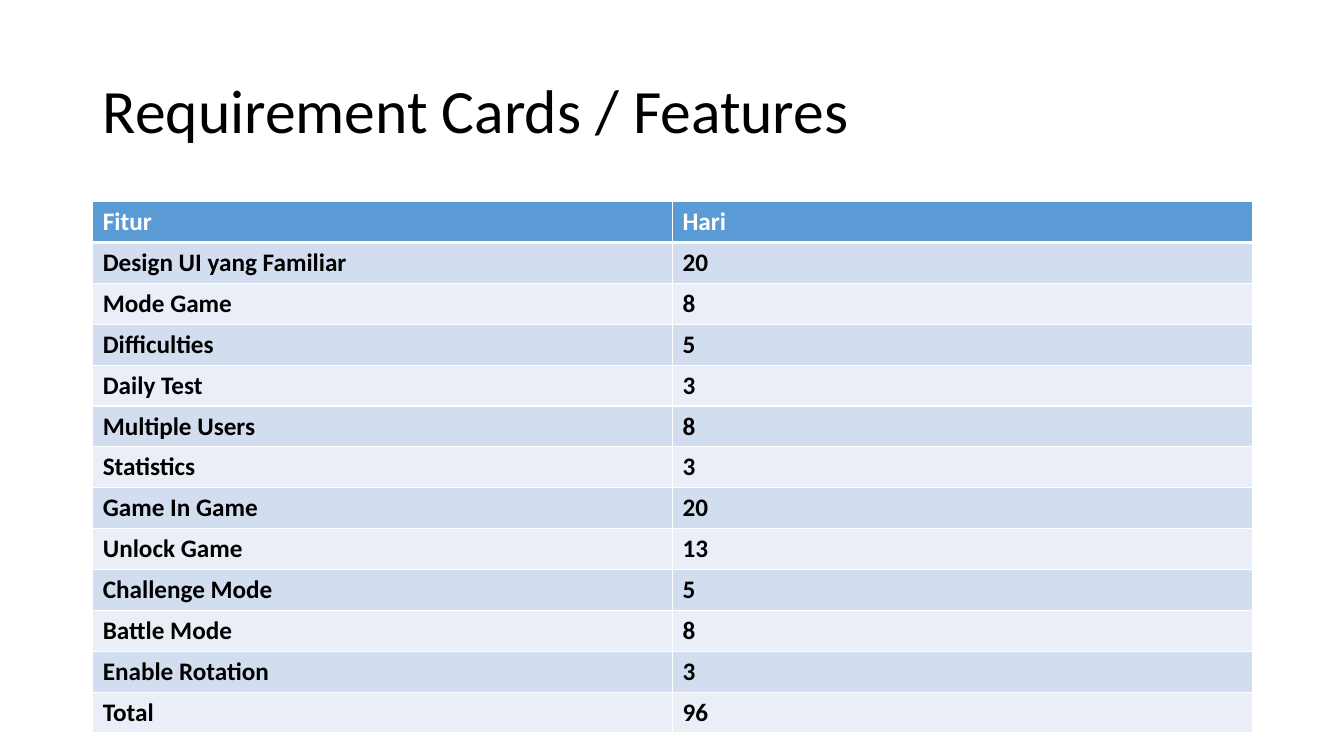
import lxml.etree
import pptx
import pptx.dml.color
import pptx.enum.text
import pptx.oxml.ns
import pptx.util

SLIDE_WIDTH = pptx.util.Inches(13.33)
SLIDE_HEIGHT = pptx.util.Inches(7.5)
FONT = "Calibri"
COLORS = {
    "header": "5B9BD5",
    "odd_row": "D2DEEF",
    "even_row": "EAEFF7",
    "border": "FFFFFF",
    "header_text": "FFFFFF",
    "text": "000000",
}

# Shares of the slide's width and height
MARGIN = 0.92 / 13.33
CONTENT_WIDTH = 11.5 / 13.33
TITLE_TOP, TITLE_HEIGHT = 0.4 / 7.5, 1.45 / 7.5
TABLE_TOP, TABLE_HEIGHT = 2 / 7.5, 5.27 / 7.5

FEATURE_DAYS = [
    ("Fitur", "Hari"),
    ("Design UI yang Familiar", "20"),
    ("Mode Game", "8"),
    ("Difficulties", "5"),
    ("Daily Test", "3"),
    ("Multiple Users", "8"),
    ("Statistics", "3"),
    ("Game In Game", "20"),
    ("Unlock Game", "13"),
    ("Challenge Mode", "5"),
    ("Battle Mode", "8"),
    ("Enable Rotation", "3"),
    ("Total", "96"),
]


def rgb(name):
    return pptx.dml.color.RGBColor.from_string(COLORS[name])


def content_box(top, height):
    """Left, top, width and height of a full-width band."""
    return (
        int(SLIDE_WIDTH * MARGIN),
        int(SLIDE_HEIGHT * top),
        int(SLIDE_WIDTH * CONTENT_WIDTH),
        int(SLIDE_HEIGHT * height),
    )


def add_run(paragraph, text, size, color, bold=False):
    run = paragraph.add_run()
    run.text = text
    run.font.name = FONT
    run.font.size = pptx.util.Pt(size)
    run.font.bold = bold
    run.font.color.rgb = rgb(color)


def add_title(slide, text):
    title = slide.shapes.add_textbox(*content_box(TITLE_TOP, TITLE_HEIGHT))
    frame = title.text_frame
    frame.word_wrap = True
    frame.vertical_anchor = pptx.enum.text.MSO_ANCHOR.MIDDLE
    frame.paragraphs[0].line_spacing = 0.9
    add_run(frame.paragraphs[0], text, 44, "text")


def set_border(cell, side, points):
    qn = pptx.oxml.ns.qn
    properties = cell._tc.get_or_add_tcPr()
    border = lxml.etree.SubElement(
        properties, qn(f"a:ln{side}"), w=str(pptx.util.Pt(points))
    )
    fill = lxml.etree.SubElement(border, qn("a:solidFill"))
    lxml.etree.SubElement(fill, qn("a:srgbClr"), val=COLORS["border"])


def fill_cell(cell, text, row):
    # Borders: a thick rule separates the header from the body
    widths = {"L": 1, "R": 1, "T": 3 if row == 1 else 1, "B": 3 if row == 0 else 1}
    for side, points in widths.items():
        set_border(cell, side, points)

    # Banded background
    if row == 0:
        background = "header"
    else:
        background = "odd_row" if row % 2 else "even_row"
    cell.fill.solid()
    cell.fill.fore_color.rgb = rgb(background)

    text_color = "text" if row else "header_text"
    add_run(cell.text_frame.paragraphs[0], text, 18, text_color, bold=True)


def add_feature_table(slide, records):
    left, top, width, height = content_box(TABLE_TOP, TABLE_HEIGHT)
    features = slide.shapes.add_table(
        len(records), len(records[0]), left, top, width, height
    ).table
    for row, record in enumerate(records):
        for column, text in enumerate(record):
            fill_cell(features.cell(row, column), text, row)


def main():
    presentation = pptx.Presentation()
    presentation.slide_width = SLIDE_WIDTH
    presentation.slide_height = SLIDE_HEIGHT
    slide = presentation.slides.add_slide(presentation.slide_layouts[6])

    add_feature_table(slide, FEATURE_DAYS)
    add_title(slide, "Requirement Cards / Features")

    presentation.save("out.pptx")


if __name__ == "__main__":
    main()
